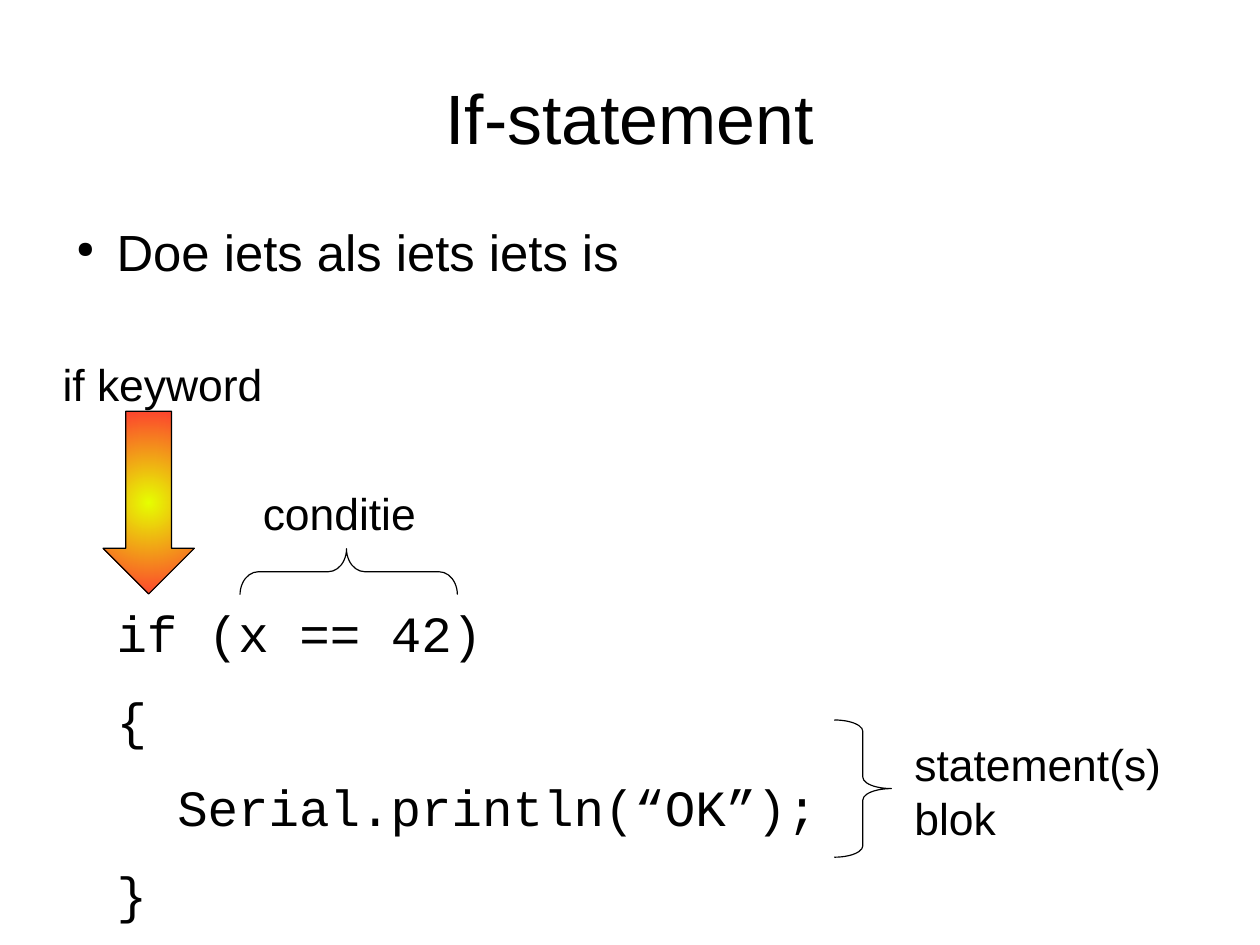
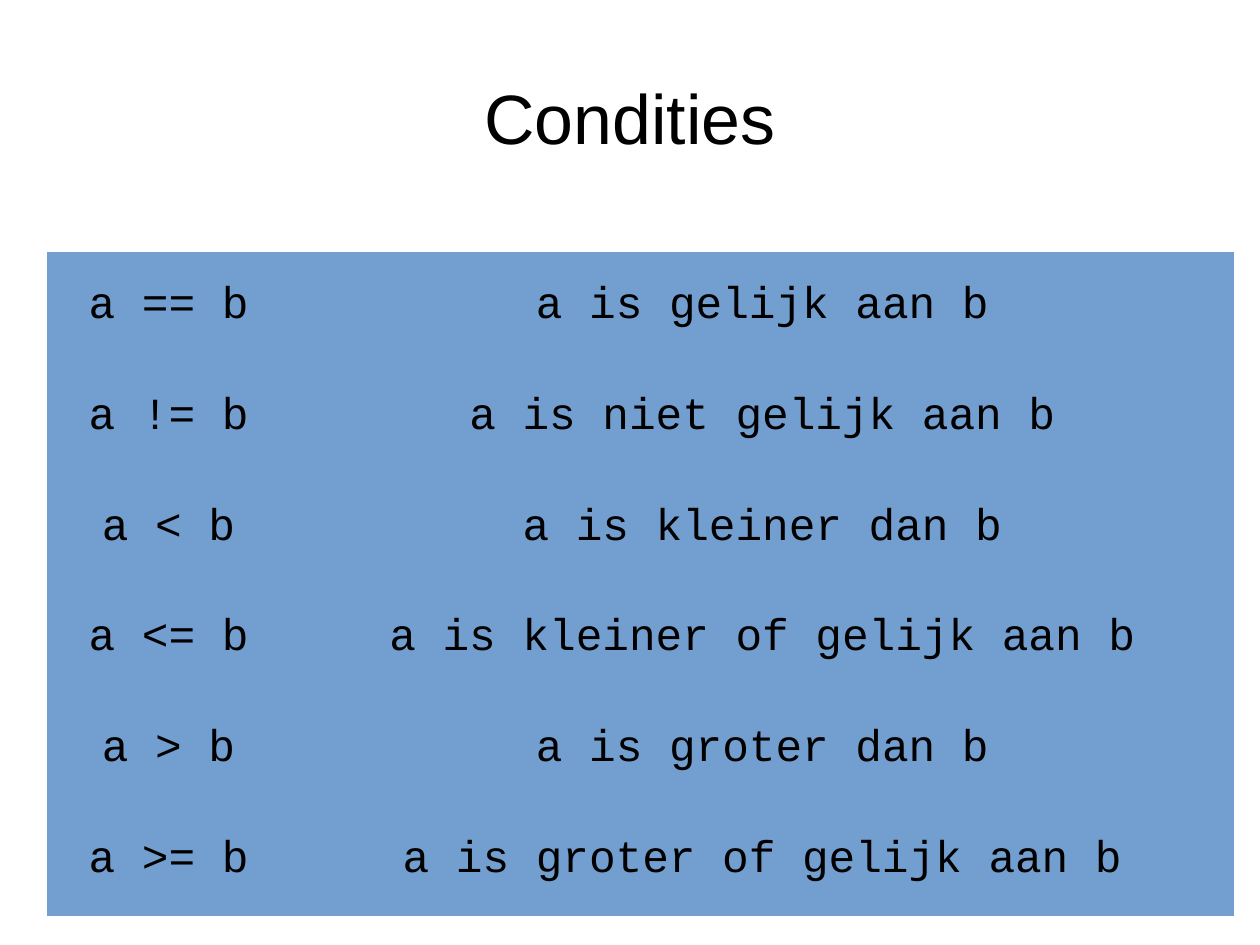
from lxml import etree
from pptx import Presentation
from pptx.dml.color import RGBColor
from pptx.enum import shapes, text
from pptx.oxml import ns
from pptx.util import Cm, Pt

BLACK = RGBColor(0x00, 0x00, 0x00)
YELLOW = RGBColor(0xE6, 0xFF, 0x00)
RED = RGBColor(0xFF, 0x33, 0x33)
BLUE = RGBColor(0x72, 0x9F, 0xCF)

SANS = "Arial"
MONO = "Courier New"
TITLE_SIZE, BODY_SIZE, LABEL_SIZE = 44, 32, 28
MARGIN = 1.4
CONTENT_WIDTH = 25.2
TEXT_INDENT = 1.19
CODE_TAB = 1.35
LABEL_INSETS = (0.25, 0.13)
PLAIN_TABLE = "{2D5ABB26-0587-4C30-8999-92F81FD0307C}"

CODE = [("if (x == 42)", 0), ("{", 0), ("Serial.println(“OK”);", 1), ("}", 0)]
CONDITIONS = [
    ("a == b", "a is gelijk aan b"),
    ("a != b", "a is niet gelijk aan b"),
    ("a < b", "a is kleiner dan b"),
    ("a <= b", "a is kleiner of gelijk aan b"),
    ("a > b", "a is groter dan b"),
    ("a >= b", "a is groter of gelijk aan b"),
]


def write(para, words, size=LABEL_SIZE, font=SANS, align=None, before=None,
          indent=0, hanging=0):
    span = para.add_run()
    span.text = words
    span.font.size = Pt(size)
    span.font.name = font
    span.font.color.rgb = BLACK
    para.alignment = align
    if before is not None:
        para.space_before = Pt(before)
    if indent:
        props = para._p.get_or_add_pPr()
        props.set("marL", str(int(Cm(indent))))
        props.set("indent", str(-int(Cm(hanging))))


def add_bullet(para):
    props = para._p.get_or_add_pPr()
    color = etree.SubElement(props, ns.qn("a:buClr"))
    etree.SubElement(color, ns.qn("a:srgbClr")).set("val", str(BLACK))
    etree.SubElement(props, ns.qn("a:buSzPct")).set("val", "45000")
    etree.SubElement(props, ns.qn("a:buChar")).set("char", "●")


def add_text(page, left, top, width, height, lines, insets=(0, 0), wrap=True,
             anchor=text.MSO_ANCHOR.TOP, **style):
    box = page.shapes.add_textbox(Cm(left), Cm(top), Cm(width), Cm(height))
    frame = box.text_frame
    frame.word_wrap = wrap
    frame.vertical_anchor = anchor
    frame.margin_left = frame.margin_right = Cm(insets[0])
    frame.margin_top = frame.margin_bottom = Cm(insets[1])
    for index, line in enumerate(lines):
        para = frame.add_paragraph() if index else frame.paragraphs[0]
        words, options = line if isinstance(line, tuple) else (line, {})
        write(para, words, **{**style, **options})
    return frame


def add_page(deck, title):
    page = deck.slides.add_slide(deck.slide_layouts[6])
    add_text(page, MARGIN, 0.84, CONTENT_WIDTH, 3.5, [title], size=TITLE_SIZE,
             align=text.PP_ALIGN.CENTER, anchor=text.MSO_ANCHOR.MIDDLE)
    return page


def add_label(page, left, top, width, height, lines, wrap=False):
    add_text(page, left, top, width, height, lines, LABEL_INSETS, wrap)


def add_outline(page, kind, left, top, width, height, adjustments, rotation=0):
    shape = page.shapes.add_shape(kind, Cm(left), Cm(top), Cm(width), Cm(height))
    shape.shadow.inherit = False
    shape.fill.background()
    shape.line.color.rgb = BLACK
    shape.line.width = Pt(0)
    shape.rotation = rotation
    for index, value in enumerate(adjustments):
        shape.adjustments[index] = value
    return shape


def fill_radial(shape, center, edge):
    shape.fill.gradient()
    for stop, color in zip(shape.fill.gradient_stops, (center, edge)):
        stop.color.rgb = color
    gradient = shape._element.spPr.find(ns.qn("a:gradFill"))
    gradient.remove(gradient.find(ns.qn("a:lin")))
    circle = etree.SubElement(gradient, ns.qn("a:path"))
    circle.set("path", "circle")
    focus = etree.SubElement(circle, ns.qn("a:fillToRect"))
    for side in "ltrb":
        focus.set(side, "50000")


def add_grid(page, left, top, widths, row_height, rows):
    table = page.shapes.add_table(
        len(rows), len(widths), Cm(left), Cm(top), Cm(sum(widths)),
        Cm(row_height * len(rows))).table
    table.first_row = table.horz_banding = False
    table._tbl.tblPr.find(ns.qn("a:tableStyleId")).text = PLAIN_TABLE
    for column, width in zip(table.columns, widths):
        column.width = Cm(width)
    for row, values in zip(table.rows, rows):
        row.height = Cm(row_height)
        for cell, words in zip(row.cells, values):
            cell.fill.solid()
            cell.fill.fore_color.rgb = BLUE
            cell.vertical_anchor = text.MSO_ANCHOR.MIDDLE
            write(cell.text_frame.paragraphs[0], words, font=MONO,
                  align=text.PP_ALIGN.CENTER)


def build_if_statement(deck):
    page = add_page(deck, "If-statement")
    body = add_text(page, MARGIN, 4.91, CONTENT_WIDTH, 12.18,
                    ["Doe iets als iets iets is"], size=BODY_SIZE,
                    before=14.2, indent=TEXT_INDENT, hanging=0.89)
    add_bullet(body.paragraphs[0])
    code = [(words, {"indent": TEXT_INDENT + level * CODE_TAB})
            for words, level in CODE]
    add_text(page, MARGIN, 13.38, 17.4, 7.1, code, size=BODY_SIZE, font=MONO,
             before=16.3)

    preset = shapes.MSO_SHAPE
    arrow = add_outline(page, preset.DOWN_ARROW, 2.29, 9.14, 2.03, 4.06,
                        (0.5, 0.5))
    fill_radial(arrow, YELLOW, RED)
    add_label(page, 1.14, 7.8, 4.95, 1.35, ["if keyword"])
    add_outline(page, preset.RIGHT_BRACE, 7.24, 10.29, 1.02, 4.83,
                (0.4, 0.49), rotation=270)
    add_label(page, 5.59, 10.67, 3.91, 1.35, ["conditie"])
    add_outline(page, preset.RIGHT_BRACE, 18.54, 16, 1.27, 3.05, (0.2, 0.5))
    add_label(page, 20.07, 16.26, 7.37, 2.54, ["statement(s)", "blok"],
              wrap=True)


def build_conditions(deck):
    page = add_page(deck, "Condities")
    add_grid(page, 1.04, 5.59, (5.41, 20.98), 2.46, CONDITIONS)


def main():
    deck = Presentation()
    deck.slide_width, deck.slide_height = Cm(28), Cm(21)
    build_if_statement(deck)
    build_conditions(deck)
    deck.save("out.pptx")


if __name__ == "__main__":
    main()
